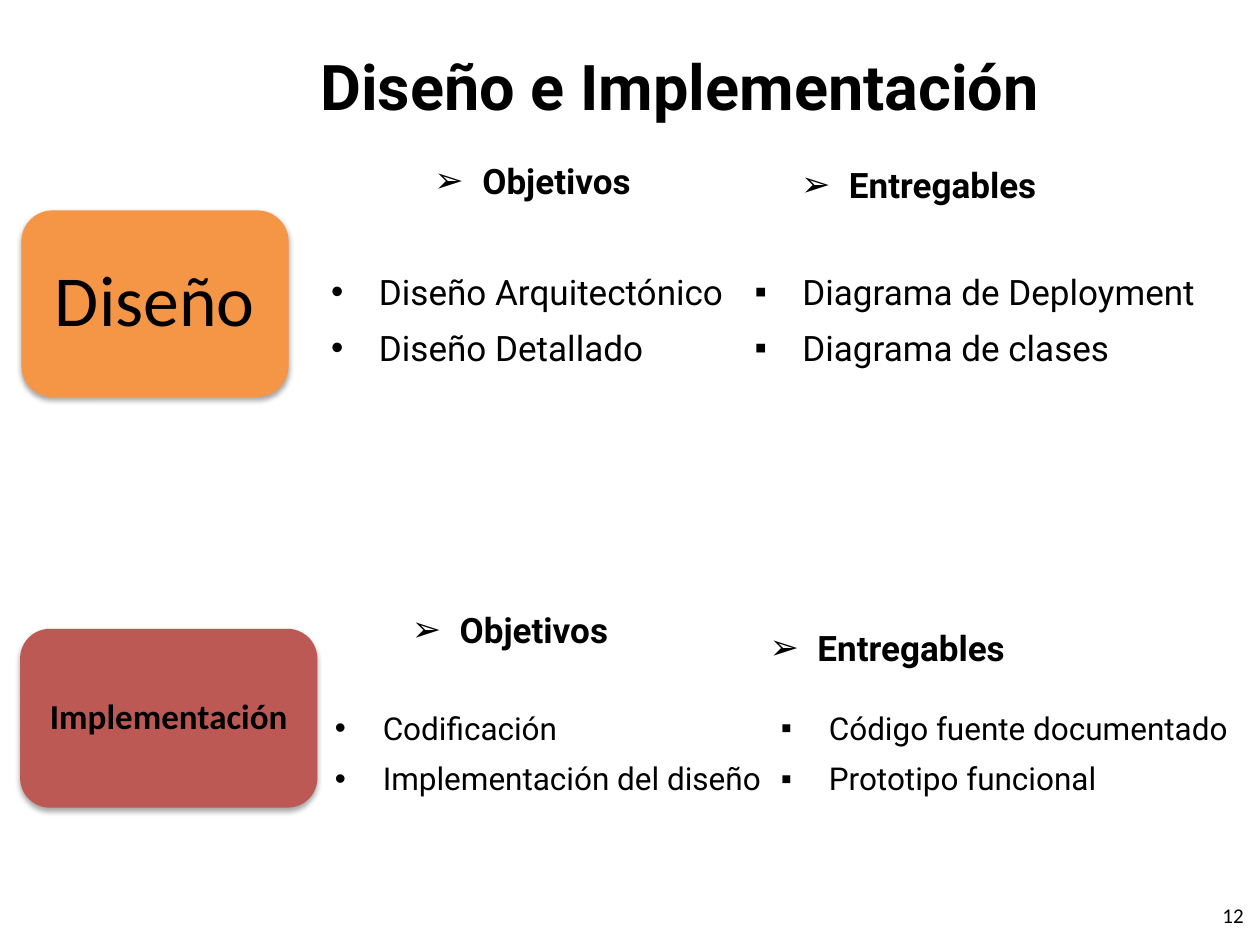
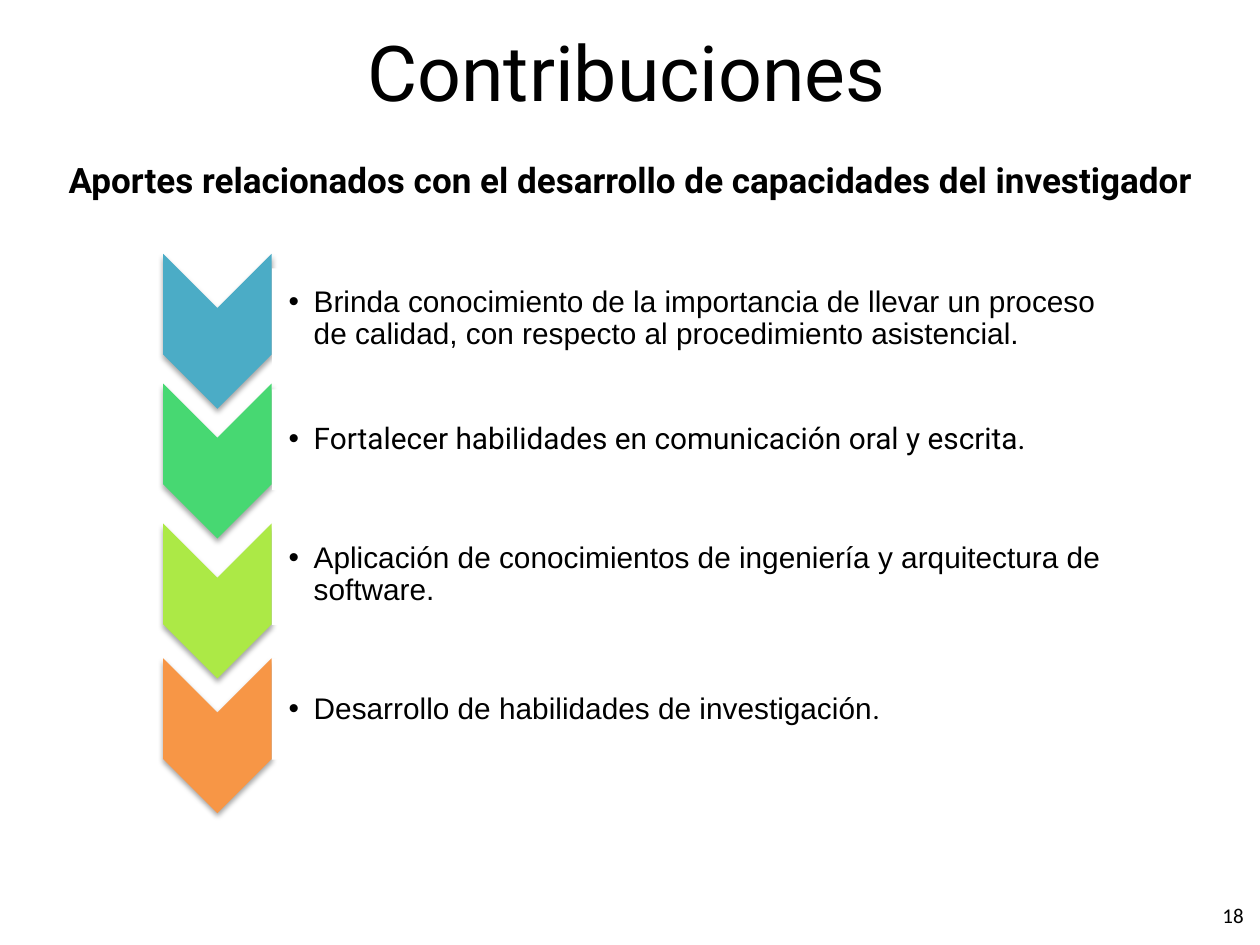
from dataclasses import dataclass

from lxml import etree
from pptx import Presentation
from pptx import util as u
from pptx.dml.color import RGBColor
from pptx.enum import shapes, text
from pptx.oxml.ns import qn

PX = 9144  # 100 px to the inch


@dataclass(frozen=True)
class Theme:
    ink: str = "000000"
    paper: str = "FFFFFF"
    orange: str = "F59546"
    red: str = "BC5955"
    chevrons: tuple = ("4BACC6", "47D872", "ACE946", "F79646")
    main_font: str = "Roboto"
    label_font: str = "Calibri"
    list_font: str = "Arial"
    contributions_title: int = 44
    card: int = 41
    title: int = 36
    body: int = 20
    small_body: int = 18
    contribution: int = 17
    number: int = 12


theme = Theme()
ALIGN = text.PP_ALIGN
MIDDLE = text.MSO_ANCHOR.MIDDLE


def write(shape, lines, size, font=theme.main_font, bold=False, align=ALIGN.LEFT,
          anchor=text.MSO_ANCHOR.TOP, insets=(10, 5, 10, 5), wrap=True, grow=False,
          bullet=None, indent=38, spacing=None, before=0, after=0):
    """Fill a shape with one paragraph per line; before and after frame the whole list."""
    frame = shape.text_frame
    frame.text = "\n".join(lines)
    frame.word_wrap = wrap
    frame.vertical_anchor = anchor
    frame.auto_size = text.MSO_AUTO_SIZE.SHAPE_TO_FIT_TEXT if grow else text.MSO_AUTO_SIZE.NONE
    frame.margin_left, frame.margin_top, frame.margin_right, frame.margin_bottom = (
        inset * PX for inset in insets)
    frame.paragraphs[0].space_before = u.Pt(before)
    frame.paragraphs[-1].space_after = u.Pt(after)
    for paragraph in frame.paragraphs:
        paragraph.alignment = align
        if spacing:
            paragraph.line_spacing = spacing
        for run in paragraph.runs:
            run.font.name = font
            run.font.size = u.Pt(size)
            run.font.bold = bold
            run.font.color.rgb = RGBColor.from_string(theme.ink)
        if bullet:
            properties = paragraph._p.get_or_add_pPr()
            properties.set("marL", str(indent * PX))
            properties.set("indent", str(-indent * PX))
            etree.SubElement(properties, qn("a:buFont")).set("typeface", theme.list_font)
            etree.SubElement(properties, qn("a:buChar")).set("char", bullet)


def add_block(slide, kind, box, color, rotation=0, shadow=True):
    """Add a plain filled shape, by default with a soft shadow below it."""
    shape = slide.shapes.add_shape(kind, *(length * PX for length in box))
    shape.rotation = rotation
    shape.fill.solid()
    shape.fill.fore_color.rgb = RGBColor.from_string(color)
    shape.line.fill.background()
    shape.shadow.inherit = False
    if shadow:
        effects = shape._element.spPr.find(qn("a:effectLst"))
        outer = etree.SubElement(effects, qn("a:outerShdw"), blurRad="40000", dist="23000",
                                 dir="5400000", rotWithShape="0")
        black = etree.SubElement(outer, qn("a:srgbClr"), val=theme.ink)
        etree.SubElement(black, qn("a:alpha"), val="35000")
    return shape


presentation = Presentation()
presentation.slide_width = 1000 * PX
presentation.slide_height = 750 * PX
blank = presentation.slide_layouts[6]

# Both slides: title and slide number
slides = []
for title, left, top, size, bold, number in (
    ("Diseño e Implementación", 67, 32, theme.title, True, "12"),
    ("Contribuciones", 25, 21, theme.contributions_title, False, "18"),
):
    slide = presentation.slides.add_slide(blank)
    slides.append(slide)
    title_box = slide.shapes.add_textbox(left * PX, top * PX, 945 * PX, 71 * PX)
    write(title_box, [title], size, bold=bold, align=ALIGN.CENTER, anchor=MIDDLE)
    number_box = slide.shapes.add_textbox(956 * PX, 706 * PX, 41 * PX, 40 * PX)
    write(number_box, [number], theme.number, theme.label_font, align=ALIGN.RIGHT, anchor=MIDDLE)
phases_slide, contributions_slide = slides

# Phase cards
for name, box, color, size, bold in (
    ("Diseño", (17, 167, 212, 148), theme.orange, theme.card, False),
    ("Implementación", (16, 499, 236, 142), theme.red, theme.body, True),
):
    card = add_block(phases_slide, shapes.MSO_SHAPE.ROUNDED_RECTANGLE, box, color)
    write(card, [name], size, theme.label_font, bold, ALIGN.CENTER, MIDDLE,
          insets=(8, 8, 8, 8), spacing=0.9)

# Column headings
for heading, left, top, width, height in (
    ("Objetivos", 335, 111, 183, 55),
    ("Entregables", 626, 114, 213, 50),
    ("Objetivos", 317, 467, 183, 55),
    ("Entregables", 601, 481, 213, 50),
):
    heading_box = phases_slide.shapes.add_textbox(left * PX, top * PX, width * PX, height * PX)
    write(heading_box, [heading], theme.body, bold=True, align=ALIGN.JUSTIFY, wrap=False,
          grow=True, bullet="➢", spacing=1.33, before=6, after=6)

# Objectives and deliverables of each phase
for lines, box, size, bullet, before in (
    (["Diseño Arquitectónico", "Diseño Detallado"], (253, 199, 346, 100), theme.body, "•", 6),
    (["Diagrama de Deployment", "Diagrama de clases"], (589, 199, 390, 100), theme.body, "▪", 6),
    (["Codificación", "Implementación del diseño"], (256, 548, 397, 91),
     theme.small_body, "•", 6),
    (["Código fuente documentado", "Prototipo funcional"], (610, 548, 437, 91),
     theme.small_body, "▪", 0),
):
    list_box = phases_slide.shapes.add_textbox(*(length * PX for length in box))
    write(list_box, lines, size, align=ALIGN.JUSTIFY, grow=True, bullet=bullet,
          spacing=1.33, before=before, after=6)

# Contributions: subtitle
subtitle_box = contributions_slide.shapes.add_textbox(28 * PX, 107 * PX, 945 * PX, 71 * PX)
write(subtitle_box, ["Aportes relacionados con el desarrollo de capacidades del investigador"],
      theme.body, bold=True, align=ALIGN.CENTER, anchor=MIDDLE)

# Contributions: a chevron, a white panel and a sentence in each row
contributions = (
    ("Brinda conocimiento de la importancia de llevar un proceso de calidad, "
     "con respecto al procedimiento asistencial.", theme.list_font, 220, 217),
    ("Fortalecer habilidades en comunicación oral y escrita.", theme.main_font, 323, 313),
    ("Aplicación de conocimientos de ingeniería y arquitectura de software.",
     theme.list_font, 434, 420),
    ("Desarrollo de habilidades de investigación", theme.list_font, 541, 527),
)
for color, (sentence, font, chevron_top, text_top) in zip(theme.chevrons, contributions):
    add_block(contributions_slide, shapes.MSO_SHAPE.CHEVRON, (111, chevron_top, 123, 86),
              color, rotation=90)
    add_block(contributions_slide, shapes.MSO_SHAPE.ROUND_2_SAME_RECTANGLE,
              (512, text_top - 300, 80, 672), theme.paper, rotation=90, shadow=False)
    sentence_box = contributions_slide.shapes.add_textbox(
        216 * PX, text_top * PX, 668 * PX, 72 * PX)
    write(sentence_box, [sentence], theme.contribution, font, anchor=MIDDLE,
          insets=(13, 1, 1, 1), bullet="•", indent=20, spacing=0.9)

# The last sentence closes with a full stop in the main font
full_stop = sentence_box.text_frame.paragraphs[0].add_run()
full_stop.text = "."
full_stop.font.name = theme.main_font
full_stop.font.size = u.Pt(theme.contribution)
full_stop.font.color.rgb = RGBColor.from_string(theme.ink)

presentation.save("out.pptx")
